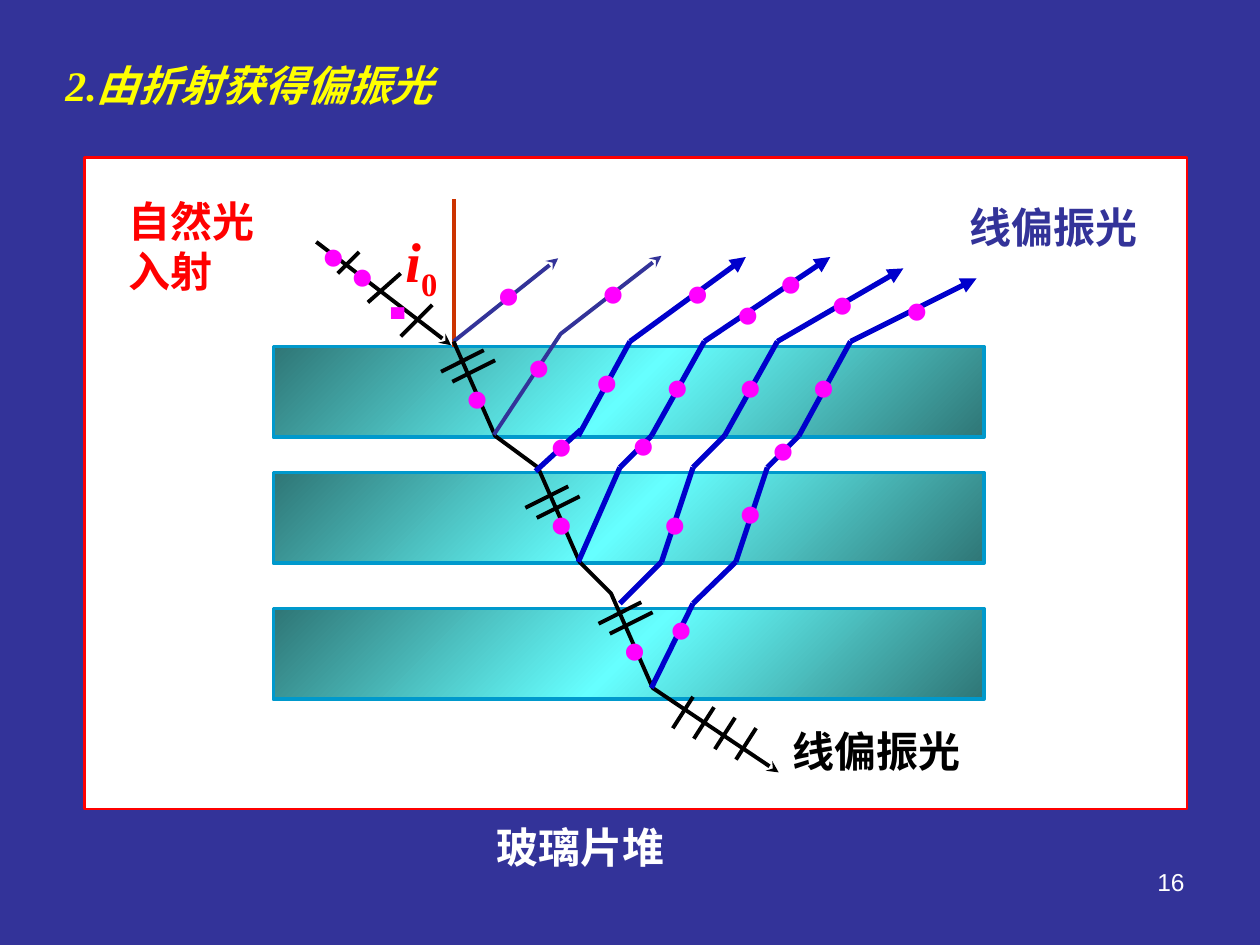
"""Build the slide on polarised light obtained by refraction through a pile of glass plates."""
import itertools

import lxml.etree
import pptx
import pptx.dml.color
import pptx.enum.shapes
import pptx.enum.text
import pptx.oxml.ns
import pptx.util
from pptx.util import Inches

COLORS = {
    "indigo": "333399", "white": "FFFFFF", "yellow": "FFFF00", "red": "FF0000",
    "black": "000000", "magenta": "FF00FF", "rust": "CC3300", "blue": "0000CC",
    "plate_edge": "0099CC", "plate_dark": "2F7676", "plate_light": "66FFFF",
}
SERIF, SANS, CJK = "Times New Roman", "Arial", "Noto Sans CJK SC"

FRAME = (0.67, 1.25, 8.75, 5.17)
PLATE_LEFT, PLATE_WIDTH, PLATE_HEIGHT = 2.17, 5.64, 0.72
PLATE_TOPS = (2.75, 3.75, 4.83)
PLATE_STOPS = ((0, "plate_dark"), (50, "plate_light"), (100, "plate_dark"))

LABELS = [
    ((7.17, 6.83, 2.33, 0.52), "16", dict(size=14, font=SANS, color="white", bold=False, align="RIGHT")),
    ((0.42, 0.42, 3.93, 0.5), "2.由折射获得偏振光", dict(font=SERIF, color="yellow", italic=True)),
    ((0.92, 1.5, 1.2, 0.9), "自然光\n入射", dict(color="red", wrap=False)),
    ((6.19, 5.71, 1.54, 0.5), "线偏振光", dict(color="black", wrap=False)),
    ((7.6, 1.55, 1.54, 0.5), "线偏振光", dict(color="indigo", wrap=False)),
    ((3.84, 6.47, 1.53, 0.5), "玻璃片堆", dict(font=SERIF, color="white", wrap=False)),
    ((2.96, 1.74, 0.33, 1), ".", dict(size=54, font="Roboto Slab", color="magenta")),
    ((3.12, 1.75, 0.47, 0.71), "i", dict(size=32, font=SERIF, color="red", italic=True,
                                         wrap=False, subscript="0")),
]

NORMAL = ((3.6, 1.58), (3.6, 2.75))
INCIDENT_RAY = ((2.51, 1.92), (3.58, 2.74))
FIRST_REFLECTION = ((3.6, 2.71), (4.43, 2.05))
REFRACTED_PATH = ((3.6, 2.71), (3.93, 3.46), (4.27, 3.71), (4.6, 4.46),
                  (4.85, 4.71), (5.18, 5.46), (6.18, 6.13))
SECOND_REFLECTION = ((3.92, 3.45), (4.45, 2.65), (5.25, 2.03))
GAP_RAY = ((4.25, 3.74), (4.61, 3.41))
REFLECTED_RAYS = [
    ((4.59, 3.46), (5, 2.71), (5.92, 2.04)),
    ((4.59, 4.46), (4.92, 3.71), (5.17, 3.46), (5.59, 2.71), (6.59, 2.04)),
    ((4.92, 4.79), (5.25, 4.46), (5.5, 3.71), (5.75, 3.46), (6.17, 2.71), (7.17, 2.13)),
    ((5.17, 5.46), (5.5, 4.79), (5.84, 4.46), (6.09, 3.71), (6.34, 3.46), (6.75, 2.71), (7.75, 2.21)),
]

INCIDENT_TICKS = [((2.85, 2), (2.68, 2.17)), ((3.18, 2.17), (2.92, 2.4)), ((3.43, 2.42), (3.18, 2.67))]
PLATE_TICK_STARTS = [(3.5, 2.95), (4.17, 4.03), (4.75, 4.95)]
PLATE_TICK_STEP, PLATE_TICK_SPAN = (0.09, 0.08), (0.34, -0.17)
EXIT_TICK_START, EXIT_TICK_STEP, EXIT_TICK_SPAN = (5.34, 5.78), (0.167, 0.083), (0.16, -0.25)

DOT_SIZE = (0.42, 0.7)
DOTS = [
    (2.46, 1.67), (2.69, 1.83), (3.6, 2.8), (4.27, 3.8), (4.85, 4.8),
    (3.85, 1.98), (4.09, 2.55), (4.68, 1.96),
    (4.27, 3.18), (4.63, 2.67), (5.35, 1.96),
    (4.92, 3.17), (5.19, 2.71), (5.75, 2.13), (6.09, 1.88),
    (5.17, 3.8), (5.77, 2.71), (6.5, 2.05),
    (5.22, 4.63), (5.77, 3.71), (6.03, 3.21), (6.35, 2.71), (7.09, 2.1),
]


def rgb(name):
    return pptx.dml.color.RGBColor.from_string(COLORS[name])


def add_xml(parent, tag, **attributes):
    return lxml.etree.SubElement(parent, pptx.oxml.ns.qn(tag), attributes)


def add_text(s, box, text, size=24, font=CJK, color="black", bold=True, italic=False,
             align="LEFT", wrap=True, subscript=""):
    tf = s.shapes.add_textbox(*map(Inches, box)).text_frame
    tf.word_wrap = wrap
    for i, line in enumerate(text.split("\n")):
        p = tf.paragraphs[0] if i == 0 else tf.add_paragraph()
        p.alignment = pptx.enum.text.PP_ALIGN[align]
        for content in filter(None, (line, subscript)):
            r = p.add_run()
            r.text = content
            r.font.size = pptx.util.Pt(size)
            r.font.name = font
            r.font.bold = bold
            r.font.italic = italic and content == line
            r.font.color.rgb = rgb(color)
            properties = r.font._element
            add_xml(properties, "a:ea", typeface=CJK if font == SERIF else font)
            if content == subscript:
                properties.set("baseline", "-25000")


def set_line(sp, color, width, arrow=None):
    sp.line.color.rgb = rgb(color)
    sp.line.width = pptx.util.Pt(width)
    if arrow:
        add_xml(sp.line._get_or_add_ln(), "a:tailEnd", type=arrow)


def add_line(s, points, color="black", width=2.25, arrow=None):
    start, end = points
    sp = s.shapes.add_connector(pptx.enum.shapes.MSO_CONNECTOR.STRAIGHT, *map(Inches, start + end))
    set_line(sp, color, width, arrow)
    add_xml(sp._element.spPr, "a:effectLst")


def add_path(s, points, color, arrow):
    corners = [tuple(map(Inches, point)) for point in points]
    builder = s.shapes.build_freeform(*corners[0])
    builder.add_line_segments(corners[1:], close=False)
    sp = builder.convert_to_shape()
    sp.fill.background()
    set_line(sp, color, 2.25, arrow)
    sp.shadow.inherit = False


def add_rect(s, box, edge, width, fill=None, stops=()):
    sp = s.shapes.add_shape(pptx.enum.shapes.MSO_SHAPE.RECTANGLE, *map(Inches, box))
    if fill:
        sp.fill.solid()
        sp.fill.fore_color.rgb = rgb(fill)
    else:
        gradient = add_xml(sp._element.spPr, "a:gradFill", rotWithShape="1")
        stop_list = add_xml(gradient, "a:gsLst")
        for percent, name in stops:
            stop = add_xml(stop_list, "a:gs", pos=str(percent * 1000))
            add_xml(stop, "a:srgbClr", val=COLORS[name])
        add_xml(gradient, "a:lin", ang=str(45 * 60000), scaled="0")
    set_line(sp, edge, width)
    sp.shadow.inherit = False


def tick_row(start, step, span, count):
    for i in range(count):
        x, y = start[0] + i * step[0], start[1] + i * step[1]
        yield (x, y), (x + span[0], y + span[1])


def main():
    prs = pptx.Presentation()
    prs.slide_width, prs.slide_height = Inches(10), Inches(7.5)
    s = prs.slides.add_slide(prs.slide_layouts[6])
    s.background.fill.solid()
    s.background.fill.fore_color.rgb = rgb("indigo")

    add_rect(s, FRAME, "red", 1.5, fill="white")
    for top in PLATE_TOPS:
        add_rect(s, (PLATE_LEFT, top, PLATE_WIDTH, PLATE_HEIGHT), "plate_edge", 2, stops=PLATE_STOPS)

    add_line(s, NORMAL, "rust")
    add_line(s, INCIDENT_RAY, arrow="stealth")
    add_line(s, FIRST_REFLECTION, "indigo", arrow="stealth")
    add_path(s, REFRACTED_PATH, "black", "stealth")
    add_path(s, SECOND_REFLECTION, "indigo", "stealth")

    plate_ticks = [tick_row(start, PLATE_TICK_STEP, PLATE_TICK_SPAN, 2) for start in PLATE_TICK_STARTS]
    exit_ticks = tick_row(EXIT_TICK_START, EXIT_TICK_STEP, EXIT_TICK_SPAN, 4)
    for tick in itertools.chain(INCIDENT_TICKS, *plate_ticks, exit_ticks):
        add_line(s, tick)

    add_line(s, GAP_RAY, "blue", 3)
    for ray in REFLECTED_RAYS:
        for start, end in zip(ray, ray[1:]):
            add_line(s, (start, end), "blue", 3, arrow="triangle" if end == ray[-1] else None)

    for position in DOTS:
        add_text(s, position + DOT_SIZE, "•", size=36, font=SERIF, color="magenta")
    for box, text, style in LABELS:
        add_text(s, box, text, **style)

    prs.save("out.pptx")


if __name__ == "__main__":
    main()
